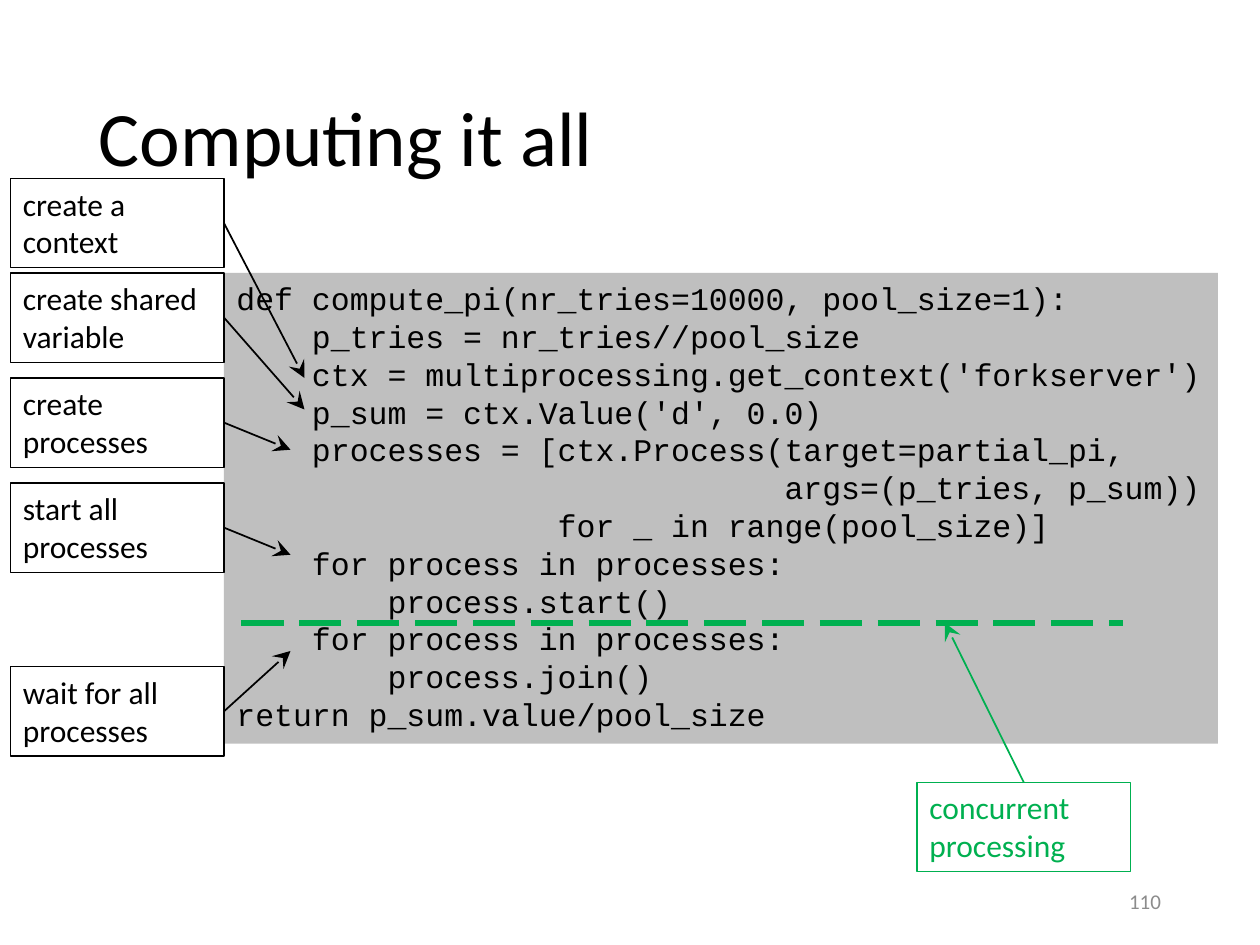
"""Build a slide that annotates a multiprocessing function step by step."""
import pptx
import pptx.dml.color
import pptx.enum.dml
import pptx.enum.shapes
import pptx.enum.text
import pptx.oxml
import pptx.oxml.ns
import pptx.util

Pt = pptx.util.Pt
hex_color = pptx.dml.color.RGBColor.from_string
BLACK, GREEN, CODE_GRAY, PAGE_GRAY = "000000", "00B050", "BFBFBF", "8C8C8C"
NOTE_WIDTH, NOTE_HEIGHT = 122, 51


def add_text(box, paragraphs, size, color=BLACK, font="Calibri", border=None):
    left, top, width, height = map(Pt, box)
    area = slide.shapes.add_textbox(left, top, width, height)
    frame = area.text_frame
    frame.word_wrap = True
    for index, lines in enumerate(paragraphs):
        paragraph = frame.paragraphs[0] if index == 0 else frame.add_paragraph()
        for number, line in enumerate(lines.split("\n")):
            if number:
                paragraph.add_line_break()
            run = paragraph.add_run()
            run.text = line
            run.font.size = Pt(size)
            run.font.name = font
            run.font.color.rgb = hex_color(color)
    if border:
        area.line.color.rgb = hex_color(border)
        area.line.width = Pt(0.75)
    return area


def add_line(start, end, color, width, arrow=False):
    line = slide.shapes.add_connector(
        pptx.enum.shapes.MSO_CONNECTOR.STRAIGHT, *map(Pt, start + end))
    line.line.color.rgb = hex_color(color)
    line.line.width = Pt(width)
    if arrow:
        outline = line.line._get_or_add_ln()
        outline.append(pptx.oxml.parse_xml(
            f'<a:tailEnd {pptx.oxml.ns.nsdecls("a")} type="stealth" w="lg" len="lg"/>'))
    properties = line._element.spPr
    properties.append(pptx.oxml.parse_xml(
        f'<a:effectLst {pptx.oxml.ns.nsdecls("a")}/>'))
    return line


presentation = pptx.Presentation()
presentation.slide_width, presentation.slide_height = Pt(720), Pt(540)
slide = presentation.slides.add_slide(presentation.slide_layouts[6])

title = add_text((49.5, 28.75, 621, 104.4), ["Computing it all"], 44)
title.text_frame.vertical_anchor = pptx.enum.text.MSO_ANCHOR.MIDDLE
title.text_frame.paragraphs[0].line_spacing = 0.9

code_lines = [
    "def compute_pi(nr_tries=10000, pool_size=1):",
    "    p_tries = nr_tries//pool_size",
    "    ctx = multiprocessing.get_context('forkserver')",
    "    p_sum = ctx.Value('d', 0.0)",
    "    processes = [ctx.Process(target=partial_pi,",
    "                             args=(p_tries, p_sum))",
    "                 for _ in range(pool_size)]",
    "    for process in processes:",
    "        process.start()",
    "    for process in processes:",
    "        process.join()",
    "return p_sum.value/pool_size",
]
code = add_text((128, 156, 568, 269), code_lines, 18, font="Courier New")
code.fill.solid()
code.fill.fore_color.rgb = hex_color(CODE_GRAY)
code.text_frame.word_wrap = False
code.text_frame.auto_size = pptx.enum.text.MSO_AUTO_SIZE.SHAPE_TO_FIT_TEXT

steps = [
    ("create a\ncontext", 102, (174, 216)),
    ("create shared\nvariable", 156, (174, 234)),
    ("create\nprocesses", 216, (166, 257)),
    ("start all\nprocesses", 276, (166, 317)),
    ("wait for all\nprocesses", 381, (166, 372)),
]
for wording, top, target in steps:
    add_text((6, top, NOTE_WIDTH, NOTE_HEIGHT), [wording], 18, border=BLACK)
    add_line((6 + NOTE_WIDTH, top + NOTE_HEIGHT / 2), target, BLACK, 1, arrow=True)

concurrency_mark = add_line((138, 356), (642, 356), GREEN, 3)
concurrency_mark.line.dash_style = pptx.enum.dml.MSO_LINE.LONG_DASH
add_text((524, 447, NOTE_WIDTH, NOTE_HEIGHT), ["concurrent\nprocessing"], 18,
         GREEN, border=GREEN)
add_line((524 + NOTE_WIDTH / 2, 447), (540, 356), GREEN, 1, arrow=True)

page_number = add_text((508.5, 500.5, 162, 28.75), ["110"], 12, PAGE_GRAY)
page_number.text_frame.vertical_anchor = pptx.enum.text.MSO_ANCHOR.MIDDLE
page_number.text_frame.paragraphs[0].alignment = pptx.enum.text.PP_ALIGN.RIGHT

presentation.save("out.pptx")
